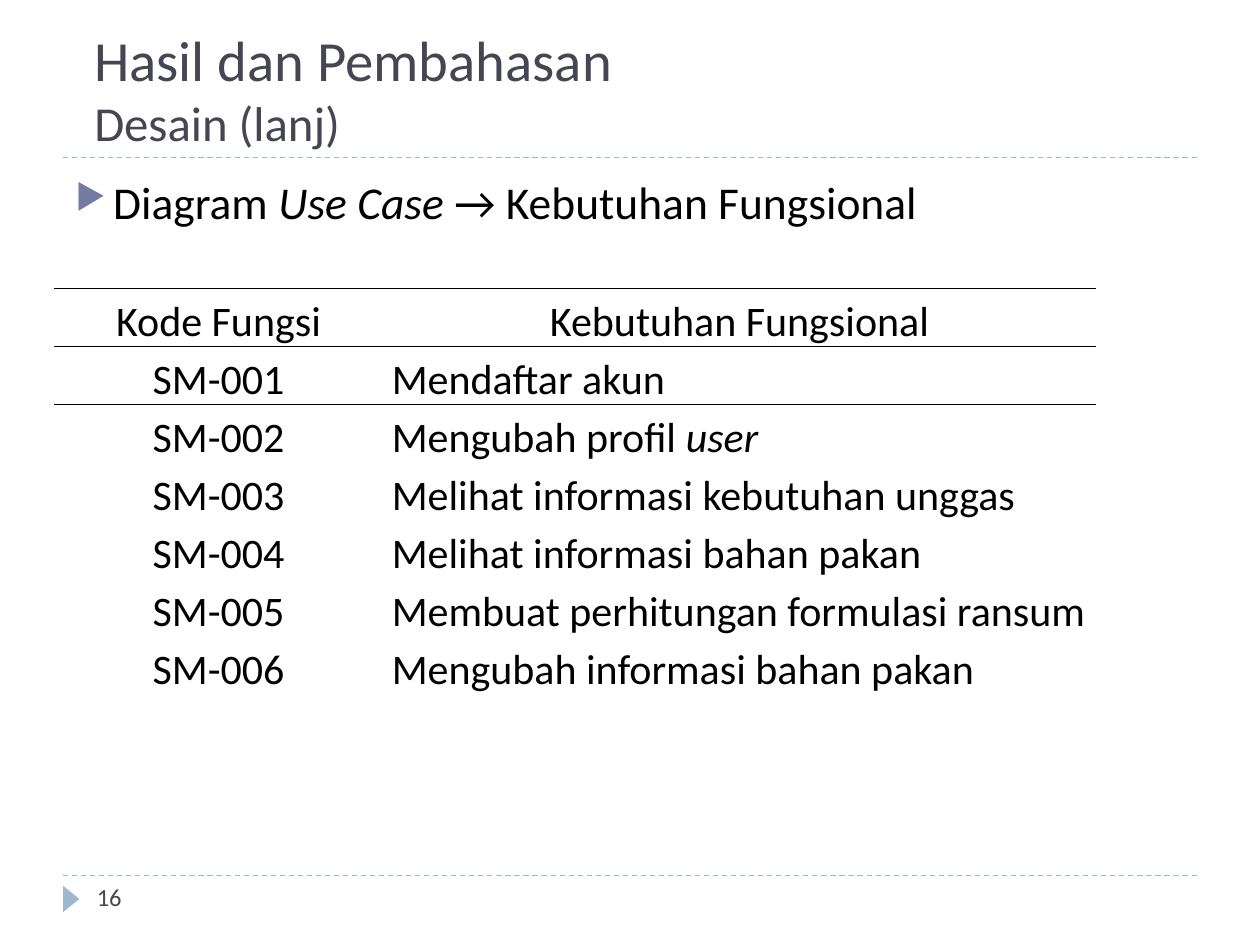
"""Builds a slide that lists functional needs in a ruled table."""
import dataclasses
import typing

import pptx
import pptx.dml.color
import pptx.enum.dml
import pptx.enum.shapes
import pptx.enum.text
import pptx.oxml
import pptx.oxml.ns
import pptx.util

ALIGN = pptx.enum.text.PP_ALIGN
ANCHOR = pptx.enum.text.MSO_ANCHOR
SHAPE = pptx.enum.shapes.MSO_SHAPE
NS = pptx.oxml.ns.nsdecls("a")


@dataclasses.dataclass(frozen=True)
class Theme:
    font: str = "Calibri"
    ink: str = "000000"
    slate: str = "464653"
    mark: str = "727CA3"
    pale: str = "9FB8CD"
    title: float = 32.4
    under: float = 27.9
    body: float = 26
    cell: float = 24
    foot: float = 14
    rule: float = 0.75


class Box(typing.NamedTuple):
    col: float
    row: float
    wide: float
    high: float


class Run(typing.NamedTuple):
    text: str
    slant: bool = False


class Need(typing.NamedTuple):
    code: str
    runs: list[Run]


THEME = Theme()
COLS, ROWS = 100, 75
UNIT = pptx.util.Inches(10) // COLS

HEAD = Need("Kode Fungsi", [Run("Kebutuhan Fungsional")])
NEEDS = [
    Need("SM-001", [Run("Mendaftar akun")]),
    Need("SM-002", [Run("Mengubah profil "), Run("user", True)]),
    Need("SM-003", [Run("Melihat informasi kebutuhan unggas")]),
    Need("SM-004", [Run("Melihat informasi bahan pakan")]),
    Need("SM-005", [Run("Membuat perhitungan formulasi ransum")]),
    Need("SM-006", [Run("Mengubah informasi bahan pakan")]),
]


def span(count: float) -> pptx.util.Emu:
    return pptx.util.Emu(round(count * UNIT))


def place(box: Box) -> list[pptx.util.Emu]:
    return [span(part) for part in box]


def tint(code: str) -> pptx.dml.color.RGBColor:
    return pptx.dml.color.RGBColor.from_string(code)


def write(para, runs: list[Run], *, size: float, ink: str = THEME.ink,
          align=ALIGN.LEFT, lead: float = 1.0, before: float = 0) -> None:
    para.alignment = align
    para.line_spacing = lead
    para.space_before = pptx.util.Pt(before)
    for part in runs:
        run = para.add_run()
        run.text = part.text
        run.font.name = THEME.font
        run.font.size = pptx.util.Pt(size)
        run.font.italic = part.slant
        run.font.color.rgb = tint(ink)


def frame(slide, box: Box, anchor=ANCHOR.TOP):
    text = slide.shapes.add_textbox(*place(box)).text_frame
    text.word_wrap = True
    text.vertical_anchor = anchor
    return text


def bullet(para, sign: str) -> None:
    props = para._p.get_or_add_pPr()
    props.set("marL", str(span(3)))
    props.set("indent", str(-span(3)))
    for part in (
        f'<a:buClr {NS}><a:srgbClr val="{THEME.mark}"/></a:buClr>',
        f'<a:buSzPct {NS} val="76000"/>',
        f'<a:buChar {NS} char="{sign}"/>',
    ):
        props.append(pptx.oxml.parse_xml(part))


def rule(slide, row: float) -> None:
    line = slide.shapes.add_connector(
        pptx.enum.shapes.MSO_CONNECTOR.STRAIGHT,
        span(5), span(row), span(COLS - 5), span(row))
    line.line.color.rgb = tint(THEME.pale)
    line.line.width = pptx.util.Pt(THEME.rule)
    line.line.dash_style = pptx.enum.dml.MSO_LINE.DASH
    line._element.spPr.append(pptx.oxml.parse_xml(f"<a:effectLst {NS}/>"))


def arrow(slide, box: Box) -> None:
    shape = slide.shapes.add_shape(SHAPE.ISOSCELES_TRIANGLE, *place(box))
    shape.rotation = 90
    shape.shadow.inherit = False
    shape.fill.solid()
    shape.fill.fore_color.rgb = tint(THEME.pale)
    shape.line.fill.background()


def edge(cell, sides: str) -> None:
    props = cell._tc.get_or_add_tcPr()
    for spot, side in enumerate(sides):
        props.insert(spot, pptx.oxml.parse_xml(
            f'<a:ln{side} {NS} w="12700"><a:solidFill>'
            f'<a:srgbClr val="{THEME.ink}"/></a:solidFill></a:ln{side}>'))


def fill(cell, runs: list[Run], align, sides: str) -> None:
    cell.margin_left = cell.margin_right = span(0.7)
    cell.margin_top = cell.margin_bottom = 0
    cell.fill.background()
    write(cell.text_frame.paragraphs[0], runs, size=THEME.cell,
          align=align, lead=1.15)
    edge(cell, sides)


def chart(slide, box: Box, wides: tuple[float, float]) -> None:
    lines = [HEAD, *NEEDS]
    table = slide.shapes.add_table(len(lines), len(wides), *place(box)).table
    table.first_row = table.horz_banding = False
    style = table._tbl.tblPr.find(pptx.oxml.ns.qn("a:tableStyleId"))
    style.text = "{2D5ABB26-0587-4C30-8999-92F81FD0307C}"
    for col, wide in zip(table.columns, wides):
        col.width = span(wide)
    for spot, need in enumerate(lines):
        sides = {0: "TB", 1: "T"}.get(spot, "")
        fill(table.cell(spot, 0), [Run(need.code)], ALIGN.CENTER, sides)
        fill(table.cell(spot, 1), need.runs,
             ALIGN.LEFT if spot else ALIGN.CENTER, sides)


def main() -> None:
    deck = pptx.Presentation()
    deck.slide_width, deck.slide_height = span(COLS), span(ROWS)
    slide = deck.slides.add_slide(deck.slide_layouts[6])

    for row in (69.5, 12.5):
        rule(slide, row)
    arrow(slide, Box(4.6, 70.7, 2.1, 1.3))

    title = frame(slide, Box(6.5, 1.7, 90, 10.8), ANCHOR.BOTTOM)
    write(title.paragraphs[0], [Run("Hasil dan Pembahasan")],
          size=THEME.title, ink=THEME.slate)
    write(title.add_paragraph(), [Run("Desain (lanj)")],
          size=THEME.under, ink=THEME.slate)

    foot = frame(slide, Box(6.7, 69.5, 21.7, 4))
    write(foot.paragraphs[0], [Run("16")], size=THEME.foot, ink=THEME.slate)

    body = frame(slide, Box(5, 13.3, 90, 54)).paragraphs[0]
    write(body, [Run("Diagram "), Run("Use Case ", True),
                 Run("→ Kebutuhan Fungsional")], size=THEME.body, before=6)
    bullet(body, "▶")

    chart(slide, Box(4.3, 22.9, 82.7, 32.2), (26.1, 56.6))
    deck.save("out.pptx")


if __name__ == "__main__":
    main()
